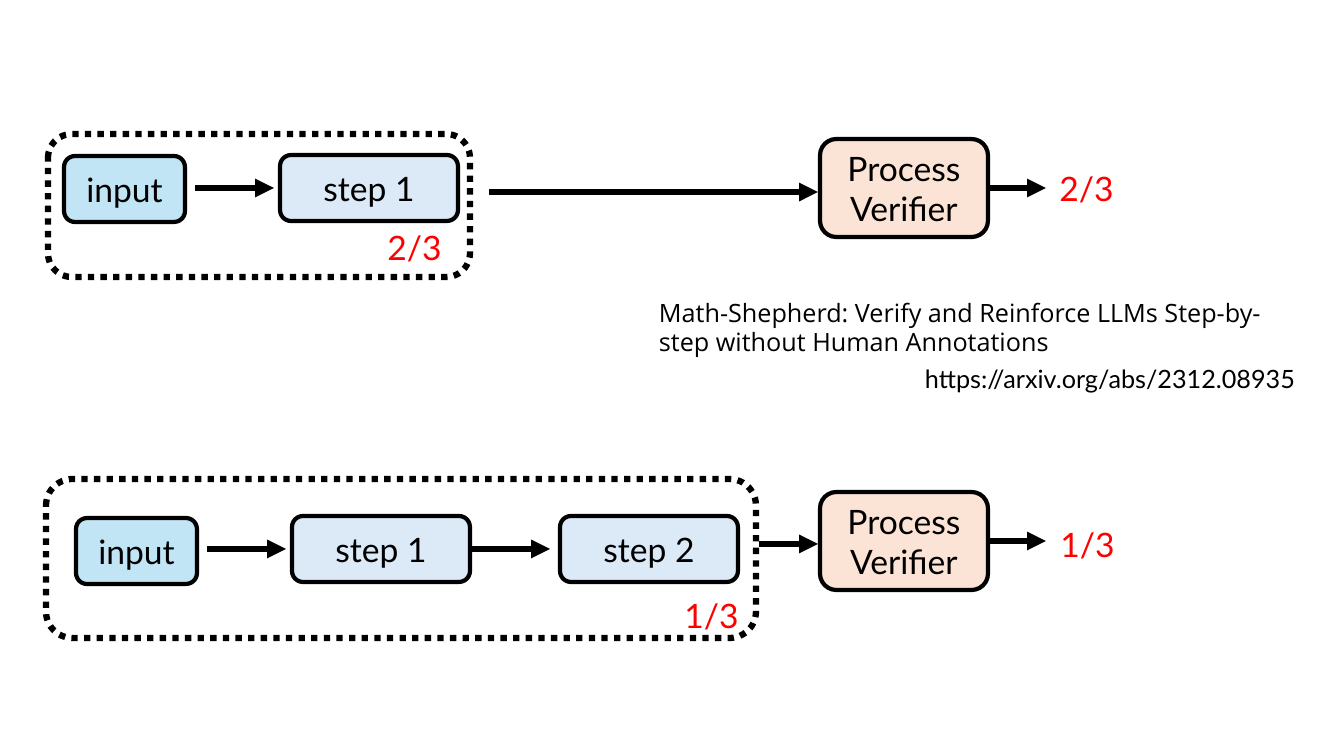
"""Draw two process-verifier flows with their step scores."""
from dataclasses import dataclass
from typing import Optional

from lxml.etree import SubElement
from pptx import Presentation
from pptx.dml.color import RGBColor
from pptx.enum.dml import MSO_LINE
from pptx.enum.shapes import MSO_CONNECTOR as Conn, MSO_SHAPE as Kind
from pptx.enum.text import MSO_ANCHOR as Anchor, MSO_AUTO_SIZE as Auto, PP_ALIGN as Align
from pptx.oxml.ns import qn
from pptx.util import Emu, Pt

BLACK, RED = "000000", "FF0000"
BLUE, PALE, PEACH = "C1E5F5", "DCEAF7", "FBE3D6"


@dataclass
class Box:
    """A filled node; out is the x where a joined arrow ends."""
    text: str
    x: int
    y: int
    w: int
    h: int
    fill: str
    out: Optional[int] = None


@dataclass
class Label:
    """A plain piece of text."""
    text: str
    x: int
    y: int
    w: int = 89
    h: int = 50
    size: int = 24
    font: str = "Lato"
    color: str = RED
    align: Align = Align.CENTER


@dataclass
class Arrow:
    """A level arrow between two x values."""
    x: int
    end: int
    y: int


@dataclass
class Frame:
    """A dotted outline around a flow."""
    x: int
    y: int
    w: int
    h: int


def px(n: int) -> Emu:
    """Turn px into EMU."""
    return Emu(round(n * 914400 / 100.8))


def rgb(code: str) -> RGBColor:
    """Turn a hex string into a colour."""
    return RGBColor.from_string(code)


def write(body, text: str, size: int, font: str, color: str, align: Align) -> None:
    """Write one paragraph for each line of text."""
    body.word_wrap = True
    for i, line in enumerate(text.split("\n")):
        para = body.add_paragraph() if i else body.paragraphs[0]
        para.alignment = align
        run = para.add_run()
        run.text = line
        run.font.size, run.font.name = Pt(size), font
        run.font.color.rgb = rgb(color)


def outline(shape, width: float) -> None:
    """Give a shape or connector a black line."""
    shape.line.color.rgb = rgb(BLACK)
    shape.line.width = Pt(width)


def round_box(slide, x: int, y: int, w: int, h: int, width: float):
    """Add a rounded rectangle without shadow."""
    shape = slide.shapes.add_shape(Kind.ROUNDED_RECTANGLE, px(x), px(y), px(w), px(h))
    shape.shadow.inherit = False
    outline(shape, width)
    return shape


def draw_arrow(slide, arrow: Arrow, source=None) -> None:
    """Draw an arrow, joined to the right side of its source."""
    y = px(arrow.y)
    line = slide.shapes.add_connector(Conn.STRAIGHT, px(arrow.x), y, px(arrow.end), y)
    if source is not None:
        line.begin_connect(source, 3)
    outline(line, 4.5)
    SubElement(line.line._get_or_add_ln(), qn("a:tailEnd"), type="triangle")
    SubElement(line._element.spPr, qn("a:effectLst"))


def draw_box(slide, box: Box) -> None:
    """Draw a node and the arrow that leaves it."""
    shape = round_box(slide, box.x, box.y, box.w, box.h, 3)
    shape.fill.solid()
    shape.fill.fore_color.rgb = rgb(box.fill)
    body = shape.text_frame
    body.vertical_anchor = Anchor.MIDDLE
    write(body, box.text, 24, "Lato", BLACK, Align.CENTER)
    if box.out is not None:
        draw_arrow(slide, Arrow(box.x + box.w, box.out, box.y + box.h // 2), shape)


def draw_frame(slide, frame: Frame) -> None:
    """Draw a dotted frame."""
    shape = round_box(slide, frame.x, frame.y, frame.w, frame.h, 4.5)
    shape.fill.background()
    shape.line.dash_style = MSO_LINE.ROUND_DOT


def draw_label(slide, label: Label):
    """Draw a text box and return its text frame."""
    body = slide.shapes.add_textbox(
        px(label.x), px(label.y), px(label.w), px(label.h)).text_frame
    write(body, label.text, label.size, label.font, label.color, label.align)
    body.auto_size = Auto.SHAPE_TO_FIT_TEXT
    return body


BOXES = [
    Box("input", 64, 156, 121, 66, BLUE),
    Box("step 1", 280, 155, 178, 66, PALE),
    Box("input", 76, 518, 121, 66, BLUE),
    Box("step 1", 292, 516, 178, 66, PALE, 550),
    Box("step 2", 560, 516, 178, 66, PALE),
    Box("Process\nVerifier", 820, 139, 168, 98, PEACH, 1046),
    Box("Process\nVerifier", 820, 492, 168, 98, PEACH, 1046),
]
ARROWS = [
    Arrow(195, 274, 188), Arrow(489, 818, 192),
    Arrow(207, 286, 549), Arrow(759, 818, 544),
]
SCORES = [
    Label("2/3", 370, 222), Label("1/3", 667, 590),
    Label("2/3", 1042, 163), Label("1/3", 1043, 519),
]
FRAMES = [Frame(46, 479, 710, 159), Frame(48, 134, 422, 143)]
TITLE = Label(
    "Math-Shepherd: Verify and Reinforce LLMs Step-by-step without Human Annotations",
    649, 293, 672, 70, 18, "Open Sans", BLACK, Align.LEFT)
LINK = Label("https://arxiv.org/abs/2312.08935",
             915, 358, 672, 40, 18, "Lato", BLACK, Align.LEFT)


def main() -> None:
    """Build and save the slide."""
    deck = Presentation()
    deck.slide_width, deck.slide_height = px(1344), px(756)
    slide = deck.slides.add_slide(deck.slide_layouts[6])
    for box in BOXES:
        draw_box(slide, box)
    for arrow in ARROWS:
        draw_arrow(slide, arrow)
    for score in SCORES:
        draw_label(slide, score)
    for frame in FRAMES:
        draw_frame(slide, frame)
    para = draw_label(slide, TITLE).paragraphs[0]
    para.line_spacing, para.space_after = Pt(21), Pt(9)
    draw_label(slide, LINK)
    deck.save("out.pptx")


if __name__ == "__main__":
    main()
